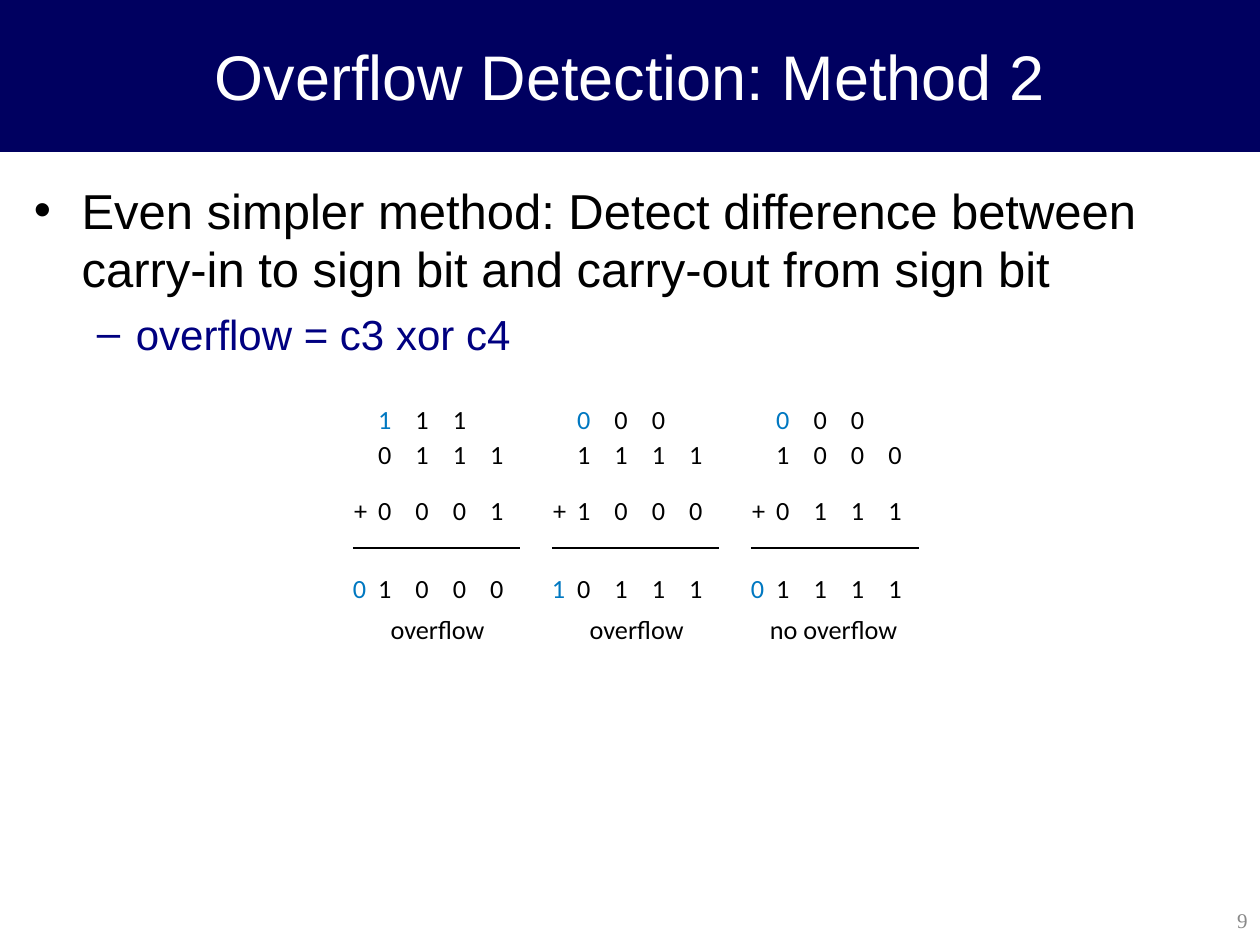
import pptx
import pptx.util
import pptx.dml.color
import pptx.enum.shapes
import pptx.enum.text
import lxml.etree

Inches = pptx.util.Inches
Pt = pptx.util.Pt
RGBColor = pptx.dml.color.RGBColor
Align = pptx.enum.text.PP_ALIGN
Anchor = pptx.enum.text.MSO_ANCHOR
Fit = pptx.enum.text.MSO_AUTO_SIZE
qn = pptx.oxml.ns.qn

NAVY = RGBColor(0x00, 0x00, 0x60)
INDIGO = RGBColor(0x00, 0x00, 0x80)
BLUE = RGBColor(0x00, 0x78, 0xC1)
GREY = RGBColor(0x89, 0x89, 0x89)
BLACK = RGBColor(0, 0, 0)
WHITE = RGBColor(255, 255, 255)


def write(para, text, size=15, font="Calibri", color=BLACK, align=Align.LEFT):
    para.alignment = align
    run = para.add_run()
    run.text = text
    run.font.size = Pt(size)
    run.font.name = font
    run.font.color.rgb = color


def label(shapes, text, left, top, width, height=0.25, pad=0, wrap=False,
          anchor=Anchor.TOP, **style):
    box = shapes.add_textbox(Inches(left), Inches(top), Inches(width), Inches(height))
    frame = box.text_frame
    frame.word_wrap = wrap
    frame.auto_size = Fit.NONE if wrap else Fit.SHAPE_TO_FIT_TEXT
    frame.vertical_anchor = anchor
    frame.margin_left = frame.margin_right = Inches(pad)
    frame.margin_top = frame.margin_bottom = Inches(pad / 2)
    write(frame.paragraphs[0], text, **style)


deck = pptx.Presentation()
deck.slide_width = Inches(10)
deck.slide_height = Inches(7.5)
slide = deck.slides.add_slide(deck.slide_layouts[6])
shapes = slide.shapes

band = shapes.add_shape(pptx.enum.shapes.MSO_SHAPE.RECTANGLE, 0, 0, Inches(10), Inches(1.2))
band.shadow.inherit = False
band.fill.solid()
band.fill.fore_color.rgb = NAVY
band.line.color.rgb = NAVY
band.line.width = Pt(0.75)
label(shapes, "Overflow Detection: Method 2", 0, 0, 10, 1.2, pad=0.1, wrap=True,
      anchor=Anchor.MIDDLE, size=36, font="Arial", color=WHITE, align=Align.CENTER)

body = shapes.add_textbox(Inches(0.17), Inches(1.38), Inches(9.66), Inches(5.72)).text_frame
body.word_wrap = True
points = [
    ("Even simpler method: Detect difference between carry-in to sign bit "
     "and carry-out from sign bit", 0, 28, BLACK, "•", 0.38, 0.38, 7),
    ("overflow = c3 xor c4", 1, 24, INDIGO, "–", 0.81, 0.31, 6),
]
for row, (text, level, size, color, mark, left, hang, gap) in enumerate(points):
    para = body.add_paragraph() if row else body.paragraphs[0]
    para.level = level
    para.space_before = Pt(gap)
    write(para, text, size=size, font="Arial", color=color)
    props = para._p.get_or_add_pPr()
    props.set("marL", str(Inches(left)))
    props.set("indent", str(-Inches(hang)))
    tint = lxml.etree.SubElement(props, qn("a:buClr"))
    lxml.etree.SubElement(tint, qn("a:srgbClr")).set("val", str(color))
    lxml.etree.SubElement(props, qn("a:buFont")).set("typeface", "Arial")
    lxml.etree.SubElement(props, qn("a:buChar")).set("char", mark)

label(shapes, "9", 7.88, 7.1, 2.12, 0.4, pad=0.1, wrap=True, anchor=Anchor.MIDDLE,
      size=12, font="Times New Roman", color=GREY, align=Align.RIGHT)

sums = [
    ("111", "0111", "0001", "0", "1000", "overflow", 0.3, 0.85),
    ("000", "1111", "1000", "1", "0111", "overflow", 0.3, 0.85),
    ("000", "1000", "0111", "0", "1111", "no overflow", 0.15, 1.16),
]
tops = [3.2, 3.48, 3.92, 4.54]
group = shapes.add_group_shape().shapes
for col, (carry, first, second, out, total, note, shift, width) in enumerate(sums):
    left = 2.8 + 1.58 * col
    for top, bits in zip(tops, (carry, first, second, total)):
        for place, bit in enumerate(bits):
            sign = top == tops[0] and place == 0
            label(group, bit, left + 0.2 + 0.89 / 3 * place, top, 0.12,
                  color=BLUE if sign else BLACK)
    label(group, out, left, tops[3], 0.12, color=BLUE)
    label(group, "+", left + 0.01, tops[2], 0.12)
    rule = group.add_connector(pptx.enum.shapes.MSO_CONNECTOR.STRAIGHT, Inches(left),
                               Inches(4.35), Inches(left + 1.33), Inches(4.35))
    rule.line.color.rgb = BLACK
    rule.line.width = Pt(1.25)
    lxml.etree.SubElement(rule._element.spPr, qn("a:effectLst"))
    label(group, note, left + shift, 4.87, width)

deck.save("out.pptx")
